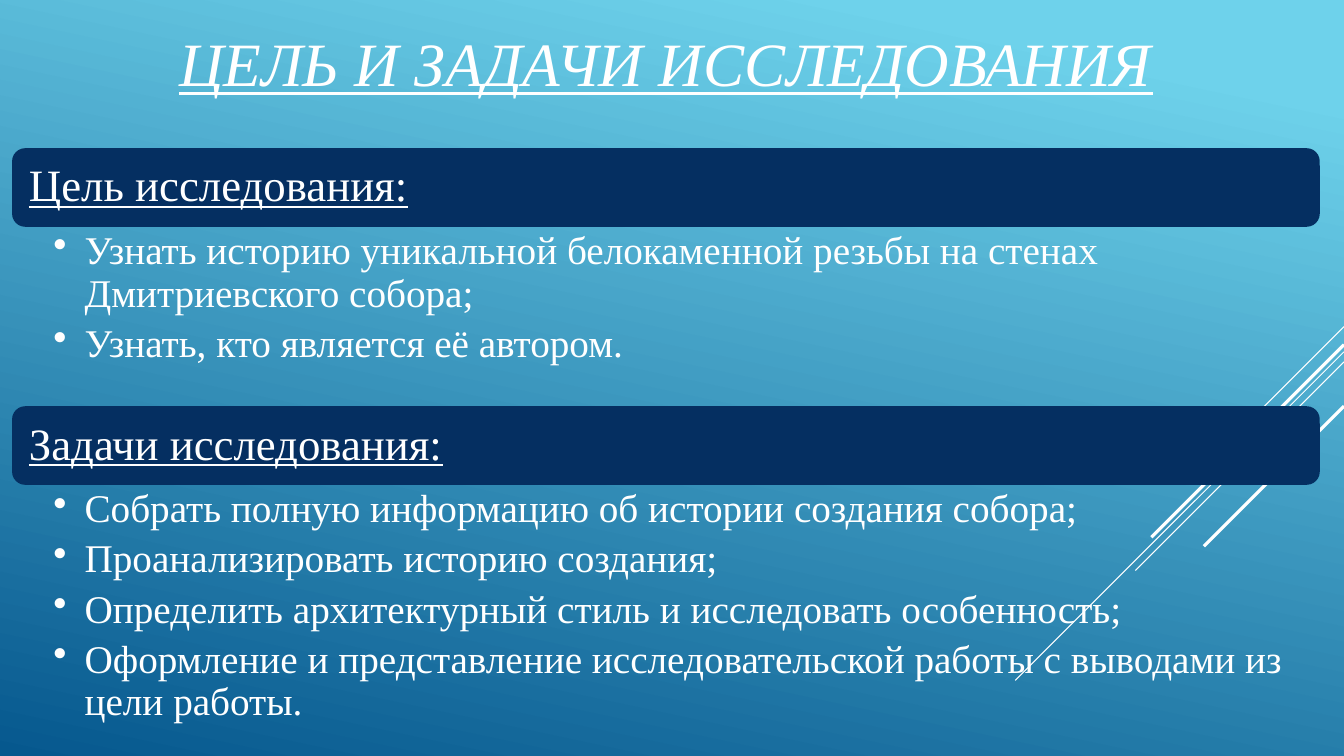
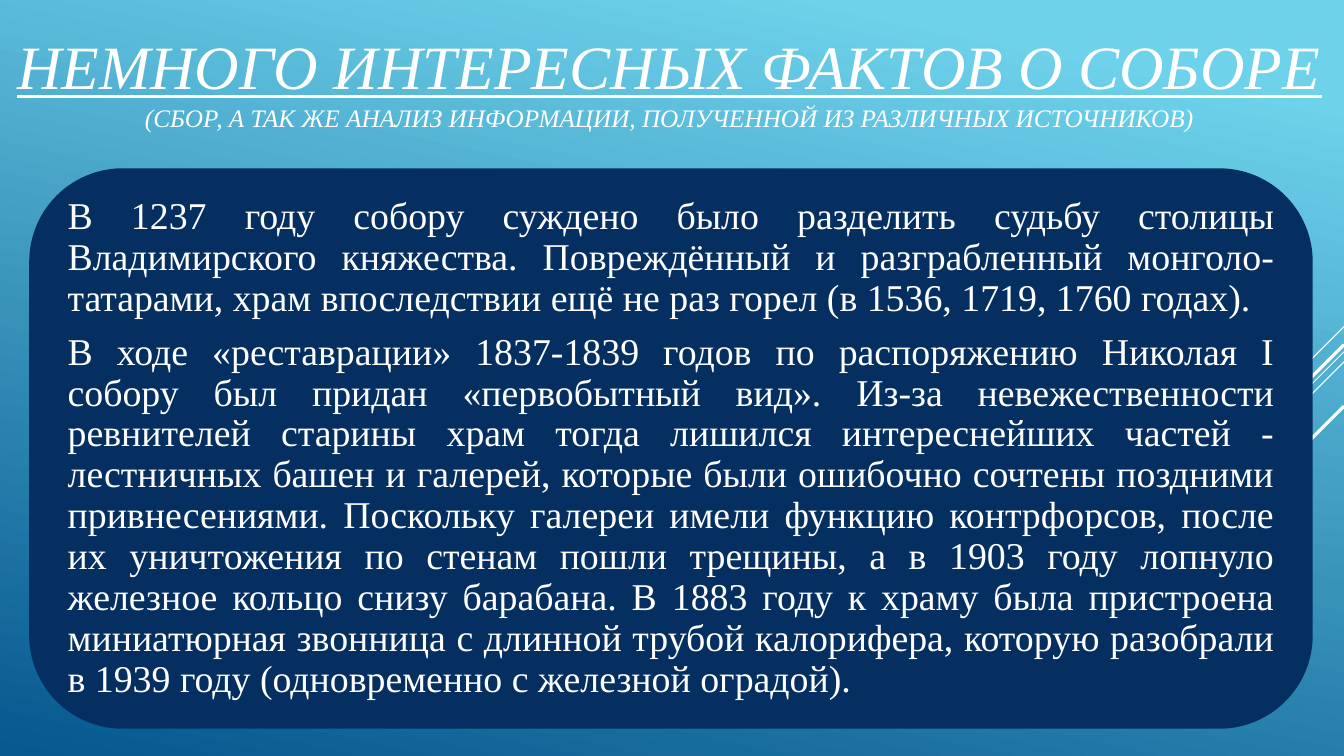
from lxml.etree import SubElement
from pptx import Presentation
from pptx.dml.color import RGBColor
from pptx.enum.shapes import MSO_CONNECTOR as Connector, MSO_SHAPE as Preset
from pptx.enum.text import MSO_ANCHOR as Anchor, MSO_AUTO_SIZE as AutoSize, PP_ALIGN as Align
from pptx.oxml.ns import qn
from pptx.util import Inches, Pt

WHITE = RGBColor(0xFF, 0xFF, 0xFF)
NAVY = RGBColor(0x05, 0x2F, 0x61)
SKY = RGBColor(0x6E, 0xD2, 0xEB)
OCEAN = RGBColor(0x06, 0x58, 0x8E)
FONT = "Times New Roman"
WIDTH, HEIGHT = 13.33, 7.5
TITLE_ONLY = 5
HEADER_HEIGHT = 0.78
RAYS = [
    (3.24, 1.0, 0.75),
    (3.49, 3.26, 0.75),
    (3.59, 2.07, 0.75),
    (3.42, 1.91, 2.25),
    (4.03, 1.39, 2.25),
]

GOALS = [
    "Узнать историю уникальной белокаменной резьбы на стенах Дмитриевского собора;",
    "Узнать, кто является её автором.",
]
TASKS = [
    "Собрать полную информацию об истории создания собора;",
    "Проанализировать историю создания;",
    "Определить архитектурный стиль и исследовать особенность;",
    "Оформление и представление исследовательской работы с выводами из цели работы.",
]
FACTS = [
    "В 1237 году собору суждено было разделить судьбу столицы Владимирского "
    "княжества. Повреждённый и разграбленный монголо-татарами, храм впоследствии "
    "ещё не раз горел (в 1536, 1719, 1760 годах).",
    "В ходе «реставрации» 1837-1839 годов по распоряжению Николая I собору был "
    "придан «первобытный вид». Из-за невежественности ревнителей старины храм "
    "тогда лишился интереснейших частей - лестничных башен и галерей, которые "
    "были ошибочно сочтены поздними привнесениями. Поскольку галереи имели "
    "функцию контрфорсов, после их уничтожения по стенам пошли трещины, а в "
    "1903 году лопнуло железное кольцо снизу барабана. В 1883 году к храму была "
    "пристроена миниатюрная звонница с длинной трубой калорифера, которую "
    "разобрали в 1939 году (одновременно с железной оградой).",
]


def add_text(frame, text, *, size, italic=False, underline=False, align=Align.LEFT,
             spacing=1.0, gap=0, bullet_indent=0):
    first = frame.paragraphs[0]
    paragraph = frame.add_paragraph() if first.runs else first
    paragraph.alignment = align
    paragraph.line_spacing = spacing
    paragraph.space_before = Pt(0)
    paragraph.space_after = Pt(size * gap)
    if bullet_indent:
        properties = paragraph._p.get_or_add_pPr()
        properties.set("marL", str(Inches(bullet_indent)))
        properties.set("indent", str(-Inches(bullet_indent)))
        SubElement(properties, qn("a:buChar"), char="•")
    run = paragraph.add_run()
    run.text = text
    font = run.font
    font.name, font.size, font.color.rgb = FONT, Pt(size), WHITE
    font.bold, font.italic, font.underline = False, italic, underline


def set_frame(frame, anchor, left, top, right, bottom):
    frame.word_wrap = True
    frame.auto_size = AutoSize.NONE
    frame.vertical_anchor = anchor
    frame.margin_left, frame.margin_right = Inches(left), Inches(right)
    frame.margin_top, frame.margin_bottom = Inches(top), Inches(bottom)


def set_background(master):
    fill = master.background.fill
    fill.gradient()
    fill.gradient_angle = 258
    for stop, position, color in zip(fill.gradient_stops, (0.1, 1.0), (SKY, OCEAN)):
        stop.position = position
        stop.color.rgb = color


def add_rays(slide):
    for top, reach, weight in RAYS:
        ray = slide.shapes.add_connector(
            Connector.STRAIGHT, Inches(WIDTH), Inches(top),
            Inches(WIDTH - reach), Inches(top + reach))
        ray.line.color.rgb = WHITE
        ray.line.width = Pt(weight)
        SubElement(ray._element.spPr, qn("a:effectLst"))


def add_titled_slide(deck, heading, box, anchor, subtitle=None):
    slide = deck.slides.add_slide(deck.slide_layouts[TITLE_ONLY])
    add_rays(slide)
    title = slide.shapes.title
    title.left, title.top, title.width, title.height = map(Inches, box)
    set_frame(title.text_frame, anchor, 0, 0.05, 0, 0.05)
    add_text(title.text_frame, heading, size=44, italic=True, underline=True,
             align=Align.CENTER)
    if subtitle:
        add_text(title.text_frame, subtitle, size=18, italic=True, align=Align.CENTER)
    return slide


def add_panel(slide, box, inset):
    panel = slide.shapes.add_shape(Preset.ROUNDED_RECTANGLE, *map(Inches, box))
    panel.shadow.inherit = False
    panel.fill.solid()
    panel.fill.fore_color.rgb = NAVY
    panel.line.fill.background()
    set_frame(panel.text_frame, Anchor.MIDDLE, inset, inset, inset, inset)
    return panel.text_frame


def add_section(slide, heading, items, box):
    left, top, width, height = box
    header = add_panel(slide, (left, top, width, HEADER_HEIGHT), 0.13)
    add_text(header, heading, size=32, underline=True, spacing=0.9)
    items_box = slide.shapes.add_textbox(
        Inches(left), Inches(top + HEADER_HEIGHT),
        Inches(width), Inches(height - HEADER_HEIGHT))
    set_frame(items_box.text_frame, Anchor.TOP, 0.41, 0.04, 0.22, 0.04)
    for item in items:
        add_text(items_box.text_frame, item, size=28, spacing=0.9, gap=0.2,
                 bullet_indent=0.31)


def add_goals_slide(deck):
    slide = add_titled_slide(deck, "ЦЕЛЬ И ЗАДАЧИ ИССЛЕДОВАНИЯ",
                             (1.65, 0.22, 9.91, 0.79), Anchor.MIDDLE)
    add_section(slide, "Цель исследования:", GOALS, (0.12, 1.47, 12.97, 2.12))
    add_section(slide, "Задачи исследования:", TASKS, (0.12, 4.03, 12.97, 3.07))


def add_facts_slide(deck):
    slide = add_titled_slide(
        deck, "НЕМНОГО ИНТЕРЕСНЫХ ФАКТОВ О СОБОРЕ", (0.06, 0.23, 13.16, 1.18),
        Anchor.TOP,
        "(СБОР, А ТАК ЖЕ АНАЛИЗ ИНФОРМАЦИИ, ПОЛУЧЕННОЙ ИЗ РАЗЛИЧНЫХ ИСТОЧНИКОВ)")
    panel = add_panel(slide, (0.29, 1.67, 12.73, 5.56), 0.11)
    for fact in FACTS:
        add_text(panel, fact, size=27, align=Align.JUSTIFY, spacing=0.9, gap=0.35)


def main():
    deck = Presentation()
    deck.slide_width, deck.slide_height = Inches(WIDTH), Inches(HEIGHT)
    set_background(deck.slide_master)
    add_goals_slide(deck)
    add_facts_slide(deck)
    deck.save("out.pptx")


if __name__ == "__main__":
    main()
